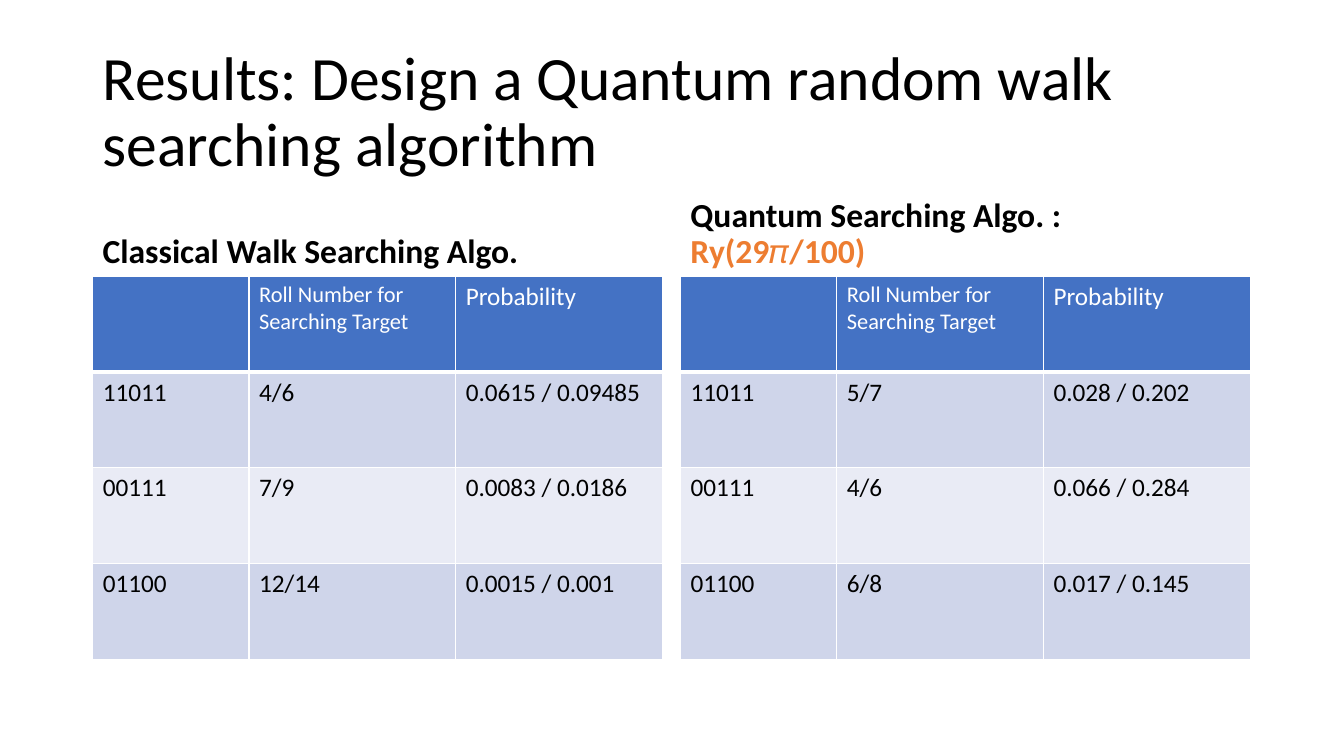
from dataclasses import dataclass

from lxml.etree import SubElement
from pptx import Presentation
from pptx.dml.color import RGBColor
from pptx.enum.text import MSO_ANCHOR
from pptx.oxml.ns import qn
from pptx.util import Inches, Pt


@dataclass(frozen=True)
class Theme:
    """Colours, font and type sizes of the slide."""
    font: str = "Calibri"
    ink: str = "000000"
    paper: str = "FFFFFF"
    accent: str = "ED7D31"
    header: str = "4472C4"
    bands: tuple = ("CFD5EA", "E9EBF5")
    title: int = 44
    heading: int = 24
    body: int = 18
    small: int = 16


def add_run(paragraph, text, *, font, size, color, bold=False):
    """Append a formatted run to a paragraph."""
    run = paragraph.add_run()
    run.text = text
    run.font.name = font
    run.font.size = Pt(size)
    run.font.bold = bold
    run.font.color.rgb = RGBColor.from_string(color)


def set_borders(cell, color, bottom):
    """Draw the four cell borders, with a given bottom width in points."""
    properties = cell._tc.get_or_add_tcPr()
    for side, width in (("L", 1), ("R", 1), ("T", 1), ("B", bottom)):
        line = SubElement(properties, qn(f"a:ln{side}"), w=str(Pt(width)))
        fill = SubElement(line, qn("a:solidFill"))
        SubElement(fill, qn("a:srgbClr"), val=color)


class ResultsSlide:
    """Slide builder that holds the theme and the current slide."""

    def __init__(self, presentation, theme):
        """Add a blank slide to the presentation."""
        self.theme = theme
        self.slide = presentation.slides.add_slide(presentation.slide_layouts[6])

    def text(self, box, runs, size, anchor, bold=False, space_before=0):
        """Add a text box with one paragraph of (text, colour) runs."""
        frame = self.slide.shapes.add_textbox(*map(Inches, box)).text_frame
        frame.word_wrap = True
        frame.vertical_anchor = anchor
        paragraph = frame.paragraphs[0]
        paragraph.line_spacing = 0.9
        paragraph.space_before = Pt(space_before)
        for words, color in runs:
            add_run(paragraph, words, font=self.theme.font, size=size,
                    color=color, bold=bold)

    def cell(self, cell, lines, size, color, fill, bottom):
        """Fill one table cell with one paragraph for each line."""
        set_borders(cell, self.theme.paper, bottom)
        cell.fill.solid()
        cell.fill.fore_color.rgb = RGBColor.from_string(fill)
        frame = cell.text_frame
        for index, line in enumerate(lines):
            paragraph = frame.add_paragraph() if index else frame.paragraphs[0]
            add_run(paragraph, line, font=self.theme.font, size=size, color=color)

    def table(self, left, top, results):
        """Add a results table with a header row and banded body rows."""
        theme = self.theme
        widths, row_height = (1.55, 2.05, 2.05), 0.95
        row_count = len(results) + 1
        table = self.slide.shapes.add_table(
            row_count, len(widths), Inches(left), Inches(top),
            Inches(sum(widths)), Inches(row_height * row_count)).table
        for column, width in zip(table.columns, widths):
            column.width = Inches(width)
        headers = (((), theme.body),
                   (("Roll Number for", "Searching Target"), theme.small),
                   (("Probability",), theme.body))
        for column, (lines, size) in enumerate(headers):
            self.cell(table.cell(0, column), lines, size, theme.paper,
                      theme.header, bottom=3)
        for row, values in enumerate(results, start=1):
            band = theme.bands[(row - 1) % 2]
            for column, value in enumerate(values):
                self.cell(table.cell(row, column), (value,), theme.body,
                          theme.ink, band, bottom=1)


def main():
    """Build and save the search results slide."""
    presentation = Presentation()
    presentation.slide_width = Inches(13.33)
    presentation.slide_height = Inches(7.5)
    theme = Theme()
    results_slide = ResultsSlide(presentation, theme)
    results_slide.text(
        (0.92, 0.4, 11.5, 1.45),
        [("Results: Design a Quantum random walk searching algorithm", theme.ink)],
        theme.title, MSO_ANCHOR.MIDDLE)

    targets = ("11011", "00111", "01100")
    classical = (0.92, 5.64, [("Classical Walk Searching Algo.", theme.ink)],
                 ("4/6", "7/9", "12/14"),
                 ("0.0615 / 0.09485", "0.0083 / 0.0186", "0.0015 / 0.001"))
    quantum = (6.75, 5.67, [("Quantum Searching Algo. : ", theme.ink),
                            ("Ry(29𝜋/100)", theme.accent)],
               ("5/7", "4/6", "6/8"),
               ("0.028 / 0.202", "0.066 / 0.284", "0.017 / 0.145"))
    for left, width, heading, rolls, probabilities in (classical, quantum):
        results_slide.text((left, 1.84, width, 0.9), heading, theme.heading,
                           MSO_ANCHOR.BOTTOM, bold=True, space_before=10)
        results_slide.table(left, 2.74, list(zip(targets, rolls, probabilities)))
    presentation.save("out.pptx")


if __name__ == "__main__":
    main()
